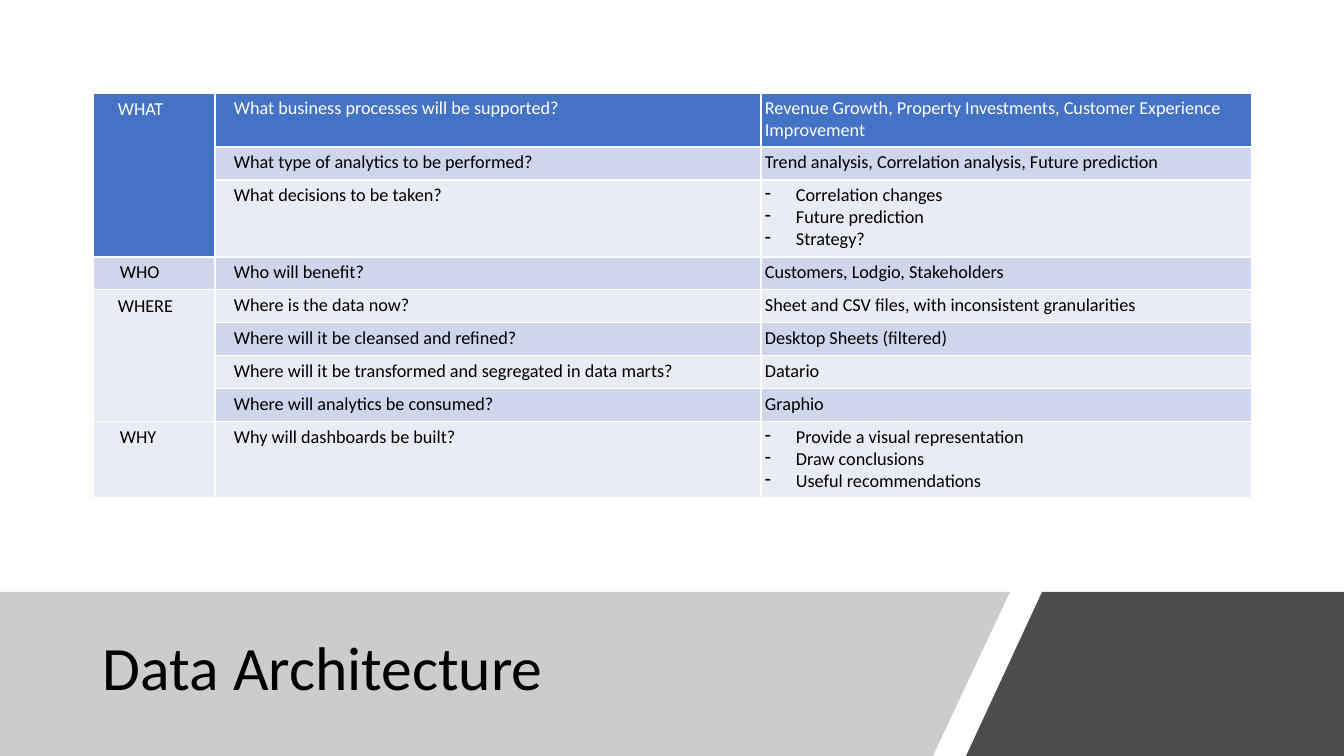
"""Build the Data Architecture slide: a question table above a title band."""
from lxml.etree import SubElement
from pptx import Presentation
from pptx.dml.color import RGBColor
from pptx.enum.text import MSO_ANCHOR
from pptx.oxml import parse_xml
from pptx.oxml.ns import nsdecls, qn
from pptx.util import Pt

TITLE = "Data Architecture"
GROUPS = [
    ("WHAT", [
        ("What business processes will be supported?",
         "Revenue Growth, Property Investments, Customer Experience Improvement"),
        ("What type of analytics to be performed?",
         "Trend analysis, Correlation analysis, Future prediction"),
        ("What decisions to be taken?",
         ["Correlation changes", "Future prediction", "Strategy?"]),
    ]),
    ("WHO", [("Who will benefit?", "Customers, Lodgio, Stakeholders")]),
    ("WHERE", [
        ("Where is the data now?",
         "Sheet and CSV files, with inconsistent granularities"),
        ("Where will it be cleansed and refined?", "Desktop Sheets (filtered)"),
        ("Where will it be transformed and segregated in data marts?", "Datario"),
        ("Where will analytics be consumed?", "Graphio"),
    ]),
    ("WHY", [
        ("Why will dashboards be built?",
         ["Provide a visual representation", "Draw conclusions",
          "Useful recommendations"]),
    ]),
]
THEME = {
    "font": "Calibri", "title": 44, "body": 13,
    "ink": "000000", "light": "FFFFFF", "head": "4472C4",
    "bands": ("E9EBF5", "CFD5EA"),
    "grey": ("808080", 40), "dark": ("000000", 70),
}
PX = 914400 / 100.8
WIDE, HIGH, BAND = 1344, 756, 592
COLS = [122, 546, 491]
ROWS = [54, 33, 77, 33, 33, 33, 33, 33, 76]
LEFT, TOP = 93, 93
PANELS = [
    ([(0, BAND), (1010, BAND), (933, HIGH), (0, HIGH)], THEME["grey"]),
    ([(1042, BAND), (WIDE, BAND), (WIDE, HIGH), (966, HIGH)], THEME["dark"]),
]


def emu(px):
    """Turn px into EMU."""
    return round(px * PX)


def style(thing, values):
    """Set each named value on a thing."""
    for name, value in values.items():
        setattr(thing, name, value)


def inset(side, end):
    """Give margins for the sides and the ends of a text frame."""
    return {"margin_left": emu(side), "margin_right": emu(side),
            "margin_top": emu(end), "margin_bottom": emu(end)}


def write(frame, lines, size, color, indent=0, dash=False):
    """Write lines into a text frame as paragraphs."""
    for i, line in enumerate(lines):
        para = frame.add_paragraph() if i else frame.paragraphs[0]
        props = para._p.get_or_add_pPr()
        props.set("marL", str(emu(indent)))
        props.set("indent", str(-emu(indent) if dash else 0))
        if dash:
            SubElement(props, qn("a:buChar")).set("char", "-")
        para.text = line
        style(para.font, {"name": THEME["font"], "size": Pt(size)})
        para.font.color.rgb = RGBColor.from_string(color)


def edge(cell):
    """Draw thin light borders around a cell."""
    props = cell._tc.get_or_add_tcPr()
    for i, side in enumerate("LRTB"):
        props.insert(i, parse_xml(
            f'<a:ln{side} {nsdecls("a")} w="12700"><a:solidFill>'
            f'<a:srgbClr val="{THEME["light"]}"/></a:solidFill></a:ln{side}>'))


def panel(slide, points, paint):
    """Draw one see-through panel."""
    pen = slide.shapes.build_freeform(*points[0], scale=PX)
    pen.add_line_segments(points[1:], close=True)
    shape = pen.convert_to_shape()
    shape.shadow.inherit = False
    shape.line.fill.background()
    color, alpha = paint
    shape.fill.solid()
    shape.fill.fore_color.rgb = RGBColor.from_string(color)
    tint = shape.fill._xPr.find(".//" + qn("a:srgbClr"))
    SubElement(tint, qn("a:alpha")).set("val", str(alpha * 1000))


def heading(slide):
    """Write the title on the band."""
    box = slide.shapes.add_textbox(*map(emu, (LEFT, 610, 851, 121)))
    style(box.text_frame, {"word_wrap": True, **inset(10, 5),
                           "vertical_anchor": MSO_ANCHOR.MIDDLE})
    write(box.text_frame, [TITLE], THEME["title"], THEME["ink"])
    box.text_frame.paragraphs[0].line_spacing = 0.9


def grid(slide):
    """Build the table of groups, questions and answers."""
    frame = slide.shapes.add_table(
        len(ROWS), len(COLS), emu(LEFT), emu(TOP),
        emu(sum(COLS)), emu(sum(ROWS)))
    table = frame.table
    style(table, {"first_row": False, "horz_banding": False})
    for col, width in zip(table.columns, COLS):
        col.width = emu(width)
    for row, height in zip(table.rows, ROWS):
        row.height = emu(height)
    for r in range(len(ROWS)):
        fill = THEME["bands"][r % 2] if r else THEME["head"]
        for c in range(len(COLS)):
            cell = table.cell(r, c)
            style(cell, inset(4, 4))
            cell.fill.solid()
            cell.fill.fore_color.rgb = RGBColor.from_string(fill)
            edge(cell)
    r = 0
    for label, pairs in GROUPS:
        tall = len(pairs) > 1
        cell = table.cell(r, 0)
        if tall:
            cell.merge(table.cell(r + len(pairs) - 1, 0))
            style(cell, inset(10, 5))
        ink = THEME["ink"] if r else THEME["light"]
        write(cell.text_frame, [label], THEME["body"], ink, 15 if tall else 23)
        for ask, reply in pairs:
            ink = THEME["ink"] if r else THEME["light"]
            write(table.cell(r, 1).text_frame, [ask], THEME["body"], ink, 15)
            dash = isinstance(reply, list)
            write(table.cell(r, 2).text_frame, reply if dash else [reply],
                  THEME["body"], ink, 31 if dash else 0, dash)
            r += 1


def main():
    """Put the slide together and save it."""
    deck = Presentation()
    style(deck, {"slide_width": emu(WIDE), "slide_height": emu(HIGH)})
    slide = deck.slides.add_slide(deck.slide_layouts[6])
    for points, paint in PANELS:
        panel(slide, points, paint)
    heading(slide)
    grid(slide)
    deck.save("out.pptx")


if __name__ == "__main__":
    main()
